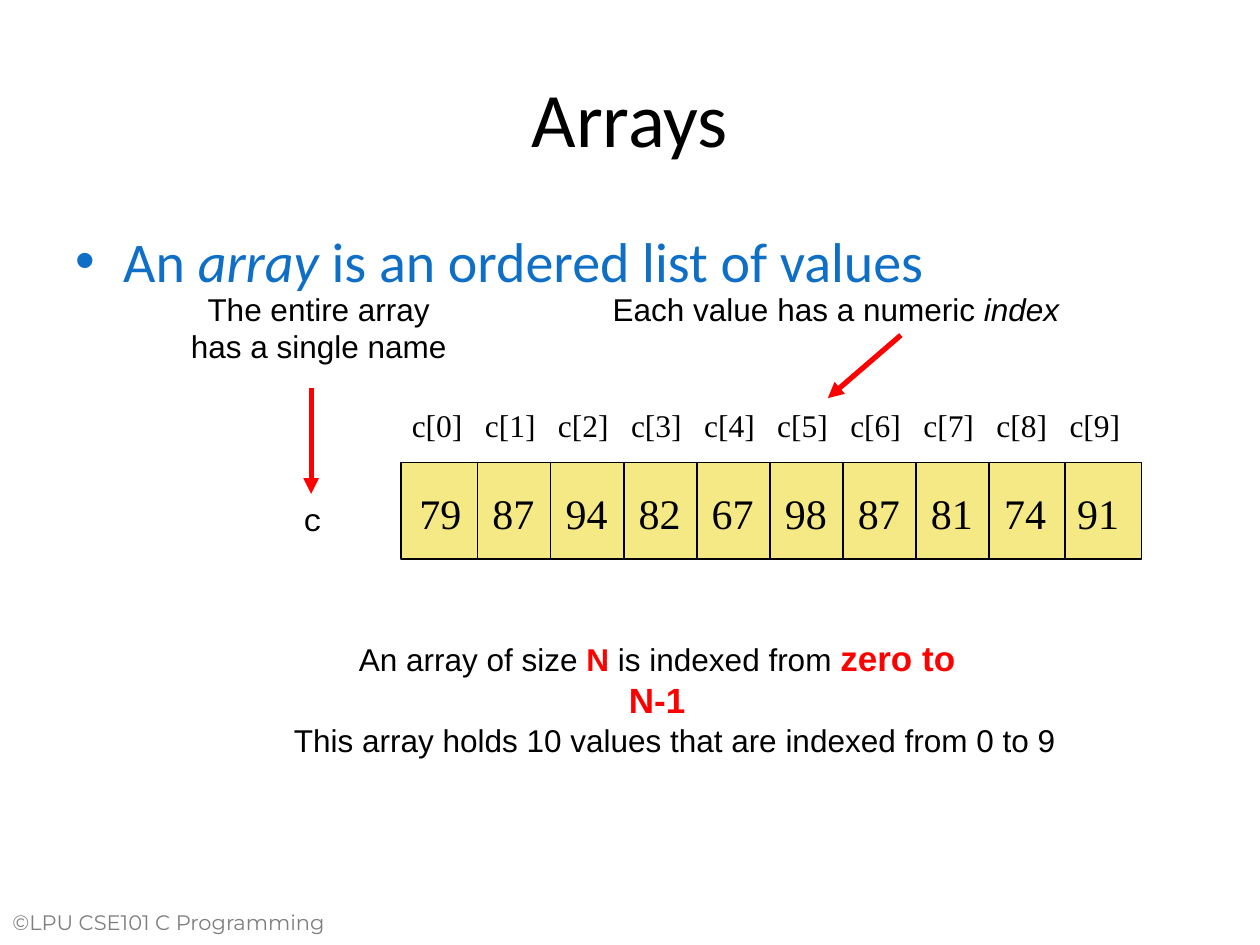
from dataclasses import dataclass

from pptx import Presentation
from pptx.dml.color import RGBColor
from pptx.enum.shapes import MSO_CONNECTOR, MSO_SHAPE
from pptx.enum.text import MSO_ANCHOR, PP_ALIGN
from pptx.oxml.ns import qn
from pptx.util import Inches, Pt
from lxml.etree import SubElement


@dataclass(frozen=True)
class Theme:
    black: RGBColor = RGBColor(0, 0, 0)
    red: RGBColor = RGBColor(0xFF, 0, 0)
    blue: RGBColor = RGBColor(0x0F, 0x6F, 0xC6)
    grey: RGBColor = RGBColor(0x7F, 0x7F, 0x7F)
    cell: RGBColor = RGBColor(0xF5, 0xE9, 0x85)
    title: Pt = Pt(44)
    body: Pt = Pt(32)
    value: Pt = Pt(24)
    emphasis: Pt = Pt(20)
    label: Pt = Pt(18)
    footer: Pt = Pt(12)


THEME = Theme()
NOTE = {"name": "Arial", "size": THEME.label}
INDEX = {"name": "Times New Roman", "size": THEME.label}
VALUE = {"name": "Times New Roman", "size": THEME.value}
CODE = {"name": "Courier New", "size": THEME.label}
TITLE = {"name": "Calibri", "size": THEME.title}
BODY = {"name": "Calibri", "size": THEME.body, "color": THEME.blue}
FOOTER = {"name": "Montserrat", "size": THEME.footer, "color": THEME.grey}
ITALIC = {"italic": True}
RED_BOLD = {"bold": True, "color": THEME.red}

VALUES = [79, 87, 94, 82, 67, 98, 87, 81, 74, 91]
COLUMN_STEP = 0.58


def apply_format(font, values):
    for name, value in values.items():
        if name == "color":
            font.color.rgb = value
        else:
            setattr(font, name, value)


def add_text(page, place, lines, style, align=PP_ALIGN.LEFT, anchor=MSO_ANCHOR.TOP):
    box = page.shapes.add_textbox(*map(Inches, place))
    frame = box.text_frame
    frame.word_wrap = True
    frame.vertical_anchor = anchor
    for number, line in enumerate(lines):
        para = frame.add_paragraph() if number else frame.paragraphs[0]
        para.alignment = align
        for text, changes in line:
            span = para.add_run()
            span.text = text
            apply_format(span.font, {"color": THEME.black} | style | changes)
    return box


def add_bullet(para, indent):
    properties = para._p.get_or_add_pPr()
    properties.set("marL", str(Inches(indent)))
    properties.set("indent", str(-Inches(indent)))
    SubElement(properties, qn("a:buFont"), typeface="Arial")
    SubElement(properties, qn("a:buChar"), char="•")


def add_columns(page, place, items, style):
    box = add_text(page, place, [[("\t".join(items), {})]], style)
    properties = box.text_frame.paragraphs[0]._p.get_or_add_pPr()
    stops = SubElement(properties, qn("a:tabLst"))
    for column in range(1, len(items)):
        SubElement(stops, qn("a:tab"), pos=str(Inches(column * COLUMN_STEP)), algn="l")


def add_cell(page, left, width):
    cell = page.shapes.add_shape(
        MSO_SHAPE.RECTANGLE, *map(Inches, (left, 3.67, width, 0.77)))
    cell.shadow.inherit = False
    cell.fill.solid()
    cell.fill.fore_color.rgb = THEME.cell
    cell.line.color.rgb = THEME.black
    cell.line.width = Pt(1)


def add_line(page, start, end, color, width, arrow=False):
    line = page.shapes.add_connector(
        MSO_CONNECTOR.STRAIGHT, *map(Inches, (*start, *end)))
    line.line.color.rgb = color
    line.line.width = Pt(width)
    if arrow:
        SubElement(line.line._get_or_add_ln(), qn("a:tailEnd"), type="triangle")
    SubElement(line._element.spPr, qn("a:effectLst"))


def add_array(page):
    labels = [f"c[{index}]" for index in range(len(VALUES))]
    add_columns(page, (3.17, 3.17, 5.83, 0.4), labels, INDEX)
    add_cell(page, 3.18, 5.88)
    for pair in range(4):
        add_cell(page, 3.79 + pair * 2 * COLUMN_STEP, COLUMN_STEP)
    add_line(page, (8.45, 3.67), (8.45, 4.44), THEME.black, 1)
    add_columns(page, (3.23, 3.82, 5.78, 0.5), [str(value) for value in VALUES], VALUE)


def add_notes(page):
    center = PP_ALIGN.CENTER
    add_text(page, (2.49, 5, 5.45, 0.44), [[
        ("An array of size ", {}),
        ("N", RED_BOLD),
        (" is indexed from ", {}),
        ("zero to N-1", RED_BOLD | {"size": THEME.emphasis}),
    ]], NOTE, center)
    add_text(page, (2.31, 3.92, 0.35, 0.4), [[("c", {})]], CODE)
    add_text(page, (1.25, 2.25, 2.56, 0.77),
             [[("The entire array", {})], [("has a single name", {})]], NOTE, center)
    add_line(page, (2.47, 3.08), (2.47, 3.92), THEME.red, 3, arrow=True)
    add_text(page, (4.47, 2.25, 4.33, 0.43),
             [[("Each value has a numeric ", {}), ("index", ITALIC)]], NOTE, center)
    add_line(page, (7.15, 2.66), (6.57, 3.16), THEME.red, 3, arrow=True)
    add_text(page, (1.56, 5.67, 7.59, 0.43),
             [[("This array holds 10 values that are indexed from 0 to 9", {})]],
             NOTE, center)


def main():
    deck = Presentation()
    deck.slide_width, deck.slide_height = Inches(10), Inches(7.5)
    page = deck.slides.add_slide(deck.slide_layouts[6])
    add_text(page, (0, 7.17, 3, 0.42), [[("©LPU CSE101 C Programming", {})]], FOOTER)
    add_text(page, (0.5, 0.3, 9, 1.25), [[("Arrays", {})]], TITLE,
             PP_ALIGN.CENTER, MSO_ANCHOR.MIDDLE)
    body = add_text(page, (0.5, 1.75, 9, 4.95), [[
        ("An ", {}), ("array", ITALIC), (" is an ordered list of values", {})]], BODY)
    add_bullet(body.text_frame.paragraphs[0], 0.38)
    add_array(page)
    add_notes(page)
    deck.save("out.pptx")


if __name__ == "__main__":
    main()
